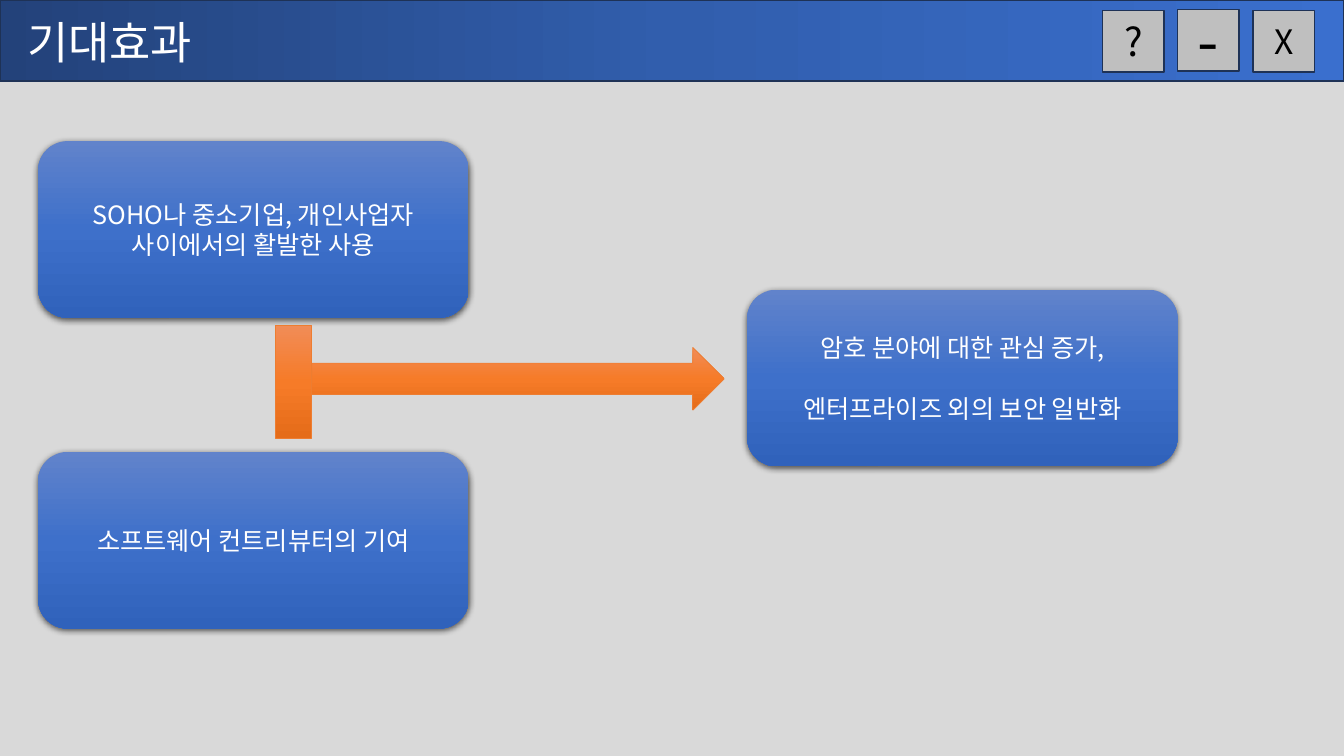
from copy import deepcopy
from dataclasses import dataclass

from lxml import etree
from pptx import Presentation
from pptx.dml.color import RGBColor
from pptx.enum.shapes import MSO_SHAPE
from pptx.enum.text import MSO_ANCHOR, MSO_AUTO_SIZE, PP_ALIGN
from pptx.oxml.ns import qn
from pptx.shapes.autoshape import Shape
from pptx.slide import Slide
from pptx.util import Pt

RECTANGLE = MSO_SHAPE.RECTANGLE
ROUNDED = MSO_SHAPE.ROUNDED_RECTANGLE
RIGHT_ARROW = MSO_SHAPE.RIGHT_ARROW
MIDDLE = MSO_ANCHOR.MIDDLE
LEFT, CENTER = PP_ALIGN.LEFT, PP_ALIGN.CENTER
NO_AUTOFIT = MSO_AUTO_SIZE.NONE

FONT_JP = "Noto Sans CJK JP"
FONT_KR = "Noto Sans CJK KR"
BAR_COLORS = ("23427A", "315EAD", "3A6FCE")
CARD_COLORS = ("6183CB", "3E70CA", "3062BB")
ARROW_COLORS = ("F18C57", "F67B28", "E56C19")
BAR_LINE = "1E3256"
ARROW_LINE = "ED7D31"
LINE_PITCH = 21.8


@dataclass(frozen=True)
class Area:
    left: float
    top: float
    width: float
    height: float


@dataclass(frozen=True)
class WindowButton:
    symbol: str
    left: float
    top: float
    size: float


@dataclass(frozen=True)
class Card:
    text: str
    left: float
    top: float
    gap: float = 0


BUTTONS = (
    WindowButton("?", 787.6, 7.4, 28),
    WindowButton("-", 841.2, 6.7, 44),
    WindowButton("X", 895, 7.4, 24),
)
CARDS = (
    Card("SOHO나 중소기업, 개인사업자\n사이에서의 활발한 사용", 27.2, 100.8),
    Card("소프트웨어 컨트리뷰터의 기여", 27.2, 322.8),
    Card("암호 분야에 대한 관심 증가,\n엔터프라이즈 외의 보안 일반화", 533.6, 206.9, LINE_PITCH),
)


def color(value: str) -> RGBColor:
    return RGBColor.from_string(value)


def add_box(page: Slide, kind: int, area: Area, line: str = "", weight: float = 1) -> Shape:
    box = page.shapes.add_shape(
        kind, Pt(area.left), Pt(area.top), Pt(area.width), Pt(area.height)
    )
    box.shadow.inherit = False
    if line:
        box.line.color.rgb = color(line)
        box.line.width = Pt(weight)
    else:
        box.line.fill.background()
    return box


def fill_gradient(box: Shape, colors: tuple[str, ...], angle: int) -> None:
    box.fill.gradient()
    box.fill.gradient_angle = angle
    stop_list = box.element.spPr.find(".//" + qn("a:gsLst"))
    while len(stop_list) < len(colors):
        stop_list.append(deepcopy(stop_list[0]))
    for index, (stop, value) in enumerate(zip(box.fill.gradient_stops, colors)):
        stop.position = index / (len(colors) - 1)
        stop.color.rgb = color(value)


def add_shadow(box: Shape) -> None:
    effects = box.element.spPr.find(qn("a:effectLst"))
    shadow = etree.SubElement(
        effects, qn("a:outerShdw"), blurRad=str(Pt(4.5)), dist=str(Pt(1.5)),
        dir="5400000", algn="ctr", rotWithShape="0",
    )
    tint = etree.SubElement(shadow, qn("a:srgbClr"), val="000000")
    etree.SubElement(tint, qn("a:alpha"), val="63000")


def write_text(box: Shape, text: str, font: str, size: float, ink: str,
               align: PP_ALIGN = CENTER) -> None:
    frame = box.text_frame
    frame.text = text
    frame.word_wrap = True
    frame.vertical_anchor = MIDDLE
    for para in frame.paragraphs:
        para.alignment = align
        for span in para.runs:
            span.font.name = font
            span.font.size = Pt(size)
            span.font.color.rgb = color(ink)
            east_asian = etree.Element(qn("a:ea"), typeface=font)
            span.font._element.find(qn("a:latin")).addnext(east_asian)


def add_title(page: Slide) -> None:
    title = page.shapes.title
    title.left, title.top, title.width, title.height = Pt(12.2), Pt(6.5), Pt(248.4), Pt(46)
    write_text(title, "기대효과", FONT_JP, 32, "FFFFFF", LEFT)
    title.text_frame.auto_size = NO_AUTOFIT
    title.text_frame.paragraphs[0].line_spacing = 1.0
    title.element.getparent().append(title.element)


def add_button(page: Slide, button: WindowButton) -> None:
    box = add_box(page, RECTANGLE, Area(button.left, button.top, 44, 44), BAR_LINE)
    box.fill.solid()
    box.fill.fore_color.rgb = color("BFBFBF")
    write_text(box, button.symbol, FONT_JP, button.size, "000000")


def add_card(page: Slide, card: Card) -> None:
    box = add_box(page, ROUNDED, Area(card.left, card.top, 307.6, 126.2))
    fill_gradient(box, CARD_COLORS, 270)
    add_shadow(box)
    write_text(box, card.text, FONT_KR, 18, "FFFFFF")
    for index, para in enumerate(box.text_frame.paragraphs):
        para.line_spacing = Pt(LINE_PITCH)
        if index:
            para.space_before = Pt(card.gap)


def main() -> None:
    deck = Presentation()
    deck.slide_width, deck.slide_height = Pt(960), Pt(540)
    page = deck.slides.add_slide(deck.slide_layouts[5])
    page.background.fill.solid()
    page.background.fill.fore_color.rgb = color("D9D9D9")

    title_bar = add_box(page, RECTANGLE, Area(0, 0, 960, 58), BAR_LINE)
    fill_gradient(title_bar, BAR_COLORS, 0)
    for button in BUTTONS:
        add_button(page, button)
    add_title(page)
    for card in CARDS:
        add_card(page, card)

    arrow_parts = (
        (RECTANGLE, Area(196.7, 232.4, 26, 80.6)),
        (RIGHT_ARROW, Area(222.7, 248.2, 294.6, 44.8)),
    )
    for kind, area in arrow_parts:
        part = add_box(page, kind, area, ARROW_LINE, 0.5)
        fill_gradient(part, ARROW_COLORS, 270)
    deck.save("out.pptx")


if __name__ == "__main__":
    main()
